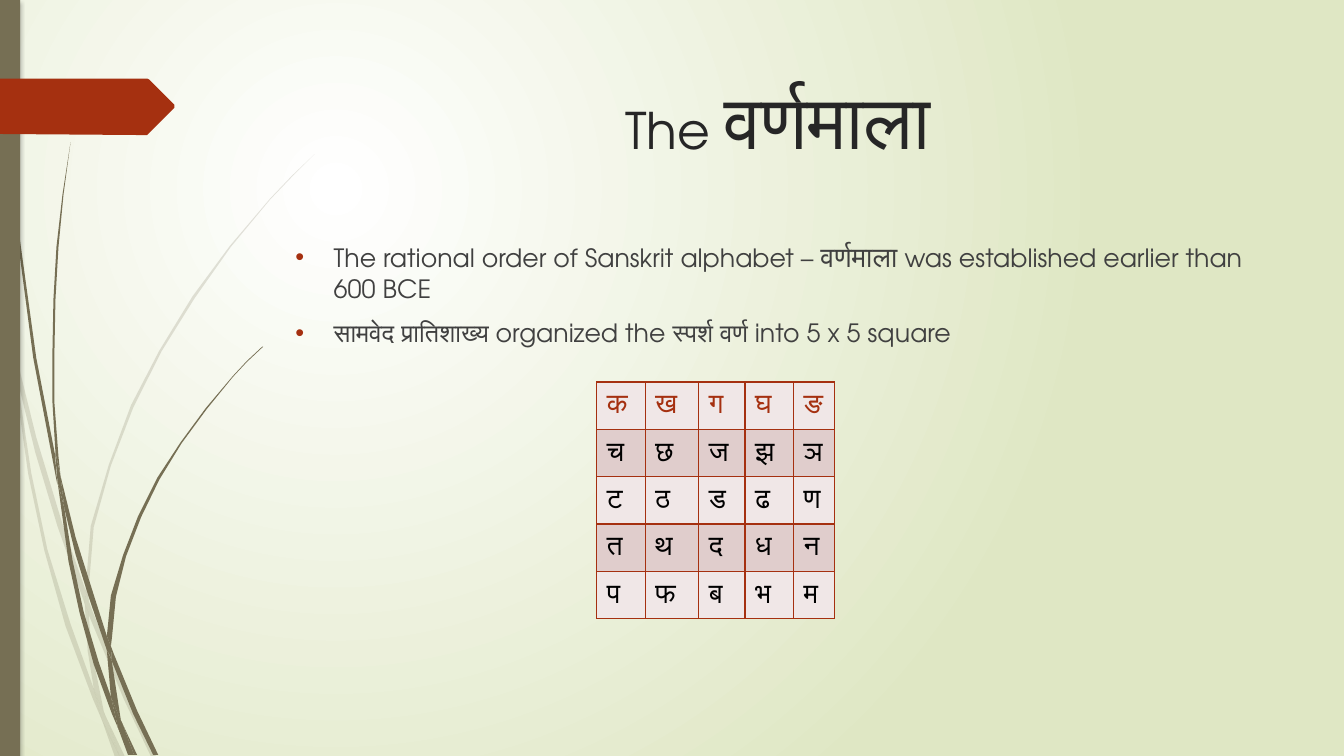
"""Build the slide on the Sanskrit alphabet, on a grid of 1333 columns by 750 rows."""
import dataclasses
import typing

import pptx
import pptx.dml.color
import pptx.enum.text
import pptx.oxml
import pptx.oxml.ns
import pptx.util


@dataclasses.dataclass(frozen=True)
class Theme:
    accent: str = "A53010"
    olive: str = "766F54"
    title: str = "262626"
    body: str = "404040"
    ink: str = "000000"
    glow: str = "FFFFFF"
    edge: str = "DFE7C4"
    bands: tuple = ("F0E7E7", "E0CDCC")
    latin: str = "TeX Gyre Adventor"
    indic: str = "Calibri"
    head: float = 36
    grand: float = 54
    text: float = 18
    glyph: float = 20
    rule: float = 0.96


class Box(typing.NamedTuple):
    left: int
    top: int
    width: int
    height: int


class Wisp(typing.NamedTuple):
    alpha: int
    blades: tuple


THEME = Theme()
COLS, ROWS = 1333, 750
CELL = pptx.util.Inches(0.01)
HEAD = Box(284, 68, 975, 140)
LIST = Box(283, 233, 975, 413)
BAR = Box(0, 0, 20, 750)
CHART = Box(592, 379, 236, 235)
WIDTHS = (48, 53, 46, 48, 41)
TAG = "173 107 148 132 146 134 136 134 0 133 0 78 146 78 148 79 173 104"
LETTERS = ("कखगघङ", "चछजझञ", "टठडढण", "तथदधन", "पफबभम")

FAINT = Wisp(20, (
    "11 350 8 322 0 282 0 299 10 344",
    "57 522 84 599 85 586 62 520 36 434 14 345 17 376 35 449",
    "92 607 88 596 88 610 123 694 150 751 155 751 127 691",
    "119 751 124 751 105 711",
    "93 683 70 619 47 545 31 469 17 376 11 350 28 470 44 546 65 621 92 693 101 714 99 707",
    "84 599 87 646 93 683 96 692 105 711 103 706 91 646 88 610 88 608",
    "88 584 93 523 110 462 132 405 160 349 193 296 229 245 268 198 290 175 312 153 "
    "289 175 268 197 228 244 191 294 158 348 130 402 108 461 90 522 85 584 85 586 88 596",
    "101 714 114 751 119 751",
    "88 608 88 610 88 596 85 586 84 599",
    "96 692 93 683 99 707 101 714 119 751 105 711",
))
BOLD = Wisp(100, (
    "7 110 17 233 33 355 56 476 57 481 55 457 55 453 36 355 19 232 8 109 5 48 4 0 3 0 4 48",
    "88 592 106 645 106 633 106 631 93 590 75 533 60 472 64 505 75 550",
    "113 649 110 641 111 656 132 708 152 749 157 749 136 705",
    "110 691 98 657 83 607 72 556 64 505 57 477 68 557 79 608 93 659 111 708 117 722 116 717",
    "60 472 58 453 54 400 54 349 55 297 58 245 63 193 70 141 62 193 56 245 53 297 52 349 "
    "52 399 55 449 60 471",
    "133 749 136 749 122 719",
    "57 477 64 505 60 472 55 449 55 453",
    "111 633 115 592 125 552 140 513 158 476 180 440 205 406 231 374 245 359 261 344 260 344 "
    "245 358 231 373 204 405 179 439 156 474 137 512 122 551 110 591 106 631 110 641",
    "117 722 127 749 131 749",
    "106 645 110 691 116 706 122 719 120 715 111 656 109 651",
    "106 645 109 650 111 656 110 641 106 631 106 633",
    "116 706 110 691 116 717 117 722 130 749 133 749 122 719",
))


def hue(code: str) -> pptx.dml.color.RGBColor:
    return pptx.dml.color.RGBColor.from_string(code)


def node(home: typing.Any, tag: str, **marks: typing.Any) -> typing.Any:
    child = pptx.oxml.parse_xml(f"<a:{tag} {pptx.oxml.ns.nsdecls('a')}/>")
    for key, value in marks.items():
        child.set(key, str(value))
    home.append(child)
    return child


def write(para: typing.Any, text: str, *, font: str, size: float, color: str) -> None:
    run = para.add_run()
    run.text = text
    run.font.name = font
    run.font.size = pptx.util.Pt(size)
    run.font.color.rgb = hue(color)
    node(run.font._element, "cs", typeface=font)


def paint(shape: typing.Any, color: str, alpha: int = 100) -> None:
    shape.shadow.inherit = False
    shape.fill.solid()
    shape.fill.fore_color.rgb = hue(color)
    shape.line.fill.background()
    if alpha < 100:
        tint = shape._element.spPr.find(".//" + pptx.oxml.ns.qn("a:srgbClr"))
        node(tint, "alpha", val=alpha * 1000)


def blade(slide: typing.Any, knots: str, color: str, alpha: int = 100) -> typing.Any:
    marks = [int(mark) for mark in knots.split()]
    points = list(zip(marks[::2], marks[1::2]))
    pen = slide.shapes.build_freeform(*points[0], scale=CELL)
    pen.add_line_segments(points[1:], close=True)
    shape = pen.convert_to_shape()
    paint(shape, color, alpha)
    return shape


def place(shape: typing.Any, box: Box) -> None:
    shape.left, shape.top, shape.width, shape.height = (side * CELL for side in box)


def hold(slide: typing.Any, index: int, box: Box) -> typing.Any:
    shape = slide.placeholders[index]
    place(shape, box)
    slide.shapes.element.append(shape.element)
    frame = shape.text_frame
    frame.word_wrap = True
    frame.auto_size = pptx.enum.text.MSO_AUTO_SIZE.NONE
    frame.vertical_anchor = pptx.enum.text.MSO_ANCHOR.TOP
    return frame


def scene(slide: typing.Any) -> None:
    fill = slide.background.fill
    fill.gradient()
    for stop, color in zip(fill.gradient_stops, (THEME.glow, THEME.edge)):
        stop.color.rgb = hue(color)
    fill.gradient_stops[0].position, fill.gradient_stops[1].position = 0, 1
    line = slide.element.find(".//" + pptx.oxml.ns.qn("a:lin"))
    grad = line.getparent()
    grad.remove(line)
    ring = node(grad, "path", path="circle")
    node(ring, "fillToRect", l=25000, t=25000, r=75000, b=75000)

    for wisp in (FAINT, BOLD):
        parts = [blade(slide, knots, THEME.olive, wisp.alpha) for knots in wisp.blades]
        slide.shapes.add_group_shape(parts)
    bar = slide.shapes.add_shape(1, *(side * CELL for side in BAR))
    paint(bar, THEME.olive)
    glow = bar._element.spPr.find(pptx.oxml.ns.qn("a:effectLst"))
    shade = node(glow, "outerShdw", blurRad=38100, dist=25400, dir=5400000)
    node(node(shade, "srgbClr", val=THEME.ink), "alpha", val=25000)
    blade(slide, TAG, THEME.accent)


def words(slide: typing.Any) -> None:
    para = hold(slide, 0, HEAD).paragraphs[0]
    para.alignment = pptx.enum.text.PP_ALIGN.CENTER
    write(para, "The ", font=THEME.latin, size=THEME.head, color=THEME.title)
    write(para, "वर्णमाला", font=THEME.indic, size=THEME.grand, color=THEME.title)

    plain = dict(font=THEME.latin, size=THEME.text, color=THEME.body)
    term = dict(font=THEME.indic, size=THEME.glyph, color=THEME.body)
    points = (
        (("The rational order of Sanskrit alphabet – ", plain), ("वर्णमाला", term),
         (" was established earlier than 600 BCE", plain)),
        (("सामवेद प्रातिशाख्य organized the स्पर्श वर्ण into 5 x 5 square", plain),),
    )
    frame = hold(slide, 1, LIST)
    for index, point in enumerate(points):
        para = frame.add_paragraph() if index else frame.paragraphs[0]
        para.space_before = pptx.util.Pt(10)
        form = para._p.get_or_add_pPr()
        form.set("marL", str(38 * CELL))
        form.set("indent", str(-38 * CELL))
        node(node(form, "buClr"), "srgbClr", val=THEME.accent)
        node(form, "buFont", typeface="Arial")
        node(form, "buChar", char="•")
        for text, look in point:
            write(para, text, **look)


def chart(slide: typing.Any) -> None:
    table = slide.shapes.add_table(
        len(LETTERS), len(WIDTHS), *(side * CELL for side in CHART)).table
    table.first_row = table.horz_banding = False
    for col, width in zip(table.columns, WIDTHS):
        col.width = width * CELL
    for down, row in enumerate(LETTERS):
        table.rows[down].height = CHART.height // len(LETTERS) * CELL
        for along, letter in enumerate(row):
            cell = table.cell(down, along)
            for side in ("lnL", "lnR", "lnT", "lnB"):
                line = node(cell._tc.get_or_add_tcPr(), side, w=pptx.util.Pt(THEME.rule))
                node(node(line, "solidFill"), "srgbClr", val=THEME.accent)
            cell.fill.solid()
            cell.fill.fore_color.rgb = hue(THEME.bands[down % 2])
            write(cell.text_frame.paragraphs[0], letter, font=THEME.indic,
                  size=THEME.glyph, color=THEME.ink if down else THEME.accent)


def main() -> None:
    deck = pptx.Presentation()
    deck.slide_width, deck.slide_height = COLS * CELL, ROWS * CELL
    slide = deck.slides.add_slide(deck.slide_layouts[1])
    scene(slide)
    words(slide)
    chart(slide)
    deck.save("out.pptx")


if __name__ == "__main__":
    main()
